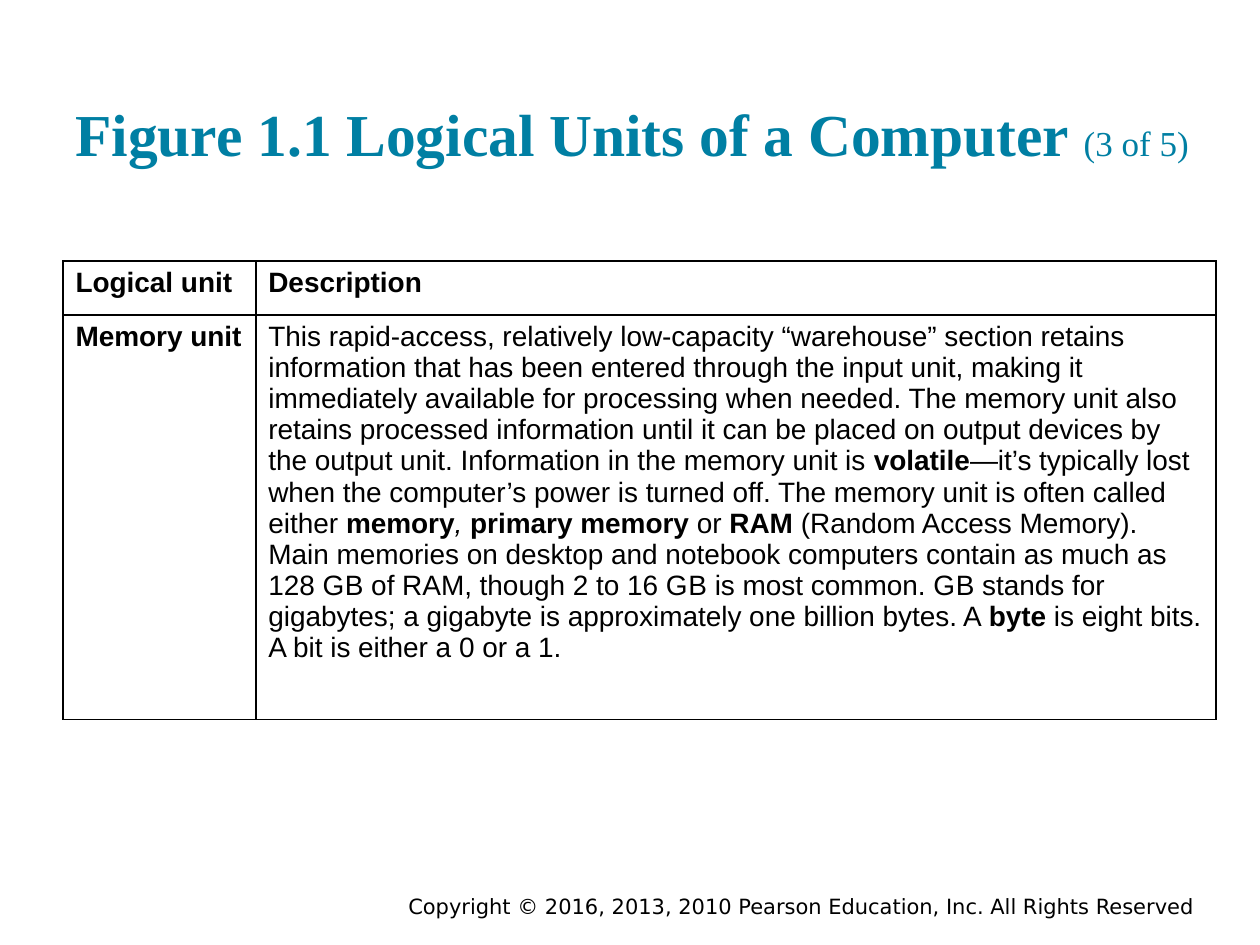
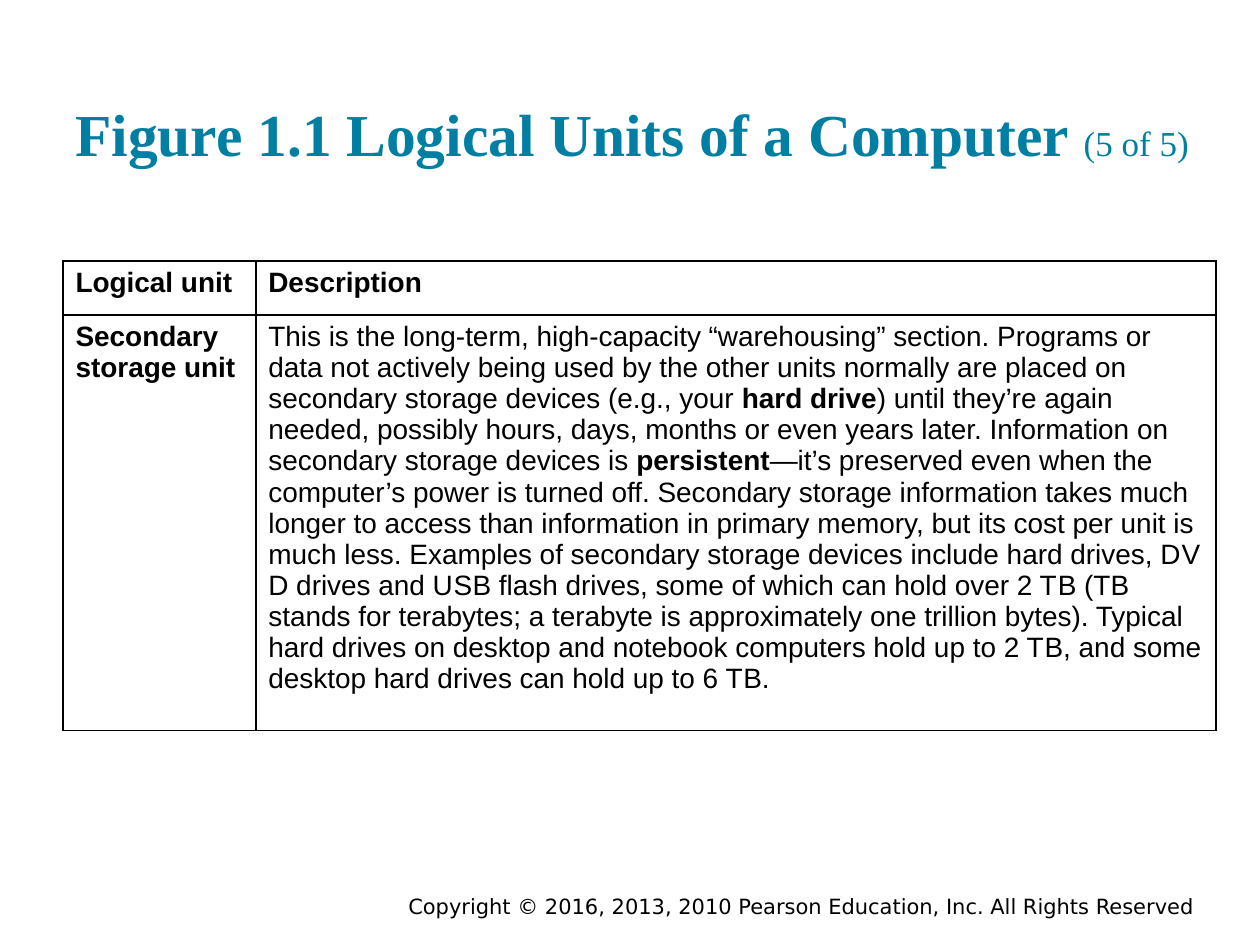
from pptx import Presentation
from pptx.dml.color import RGBColor
from pptx.enum.text import MSO_ANCHOR as Anchor, MSO_AUTO_SIZE as AutoSize, PP_ALIGN as Align
from pptx.oxml import parse_xml
from pptx.oxml.ns import nsdecls
from pptx.util import Inches, Pt

COLORS = {"title": "007FA3", "text": "000000", "border": "000000"}
FONTS = {"title": "Times New Roman", "body": "Arial", "footer": "DejaVu Sans"}
TITLE = "Figure 1.1 Logical Units of a Computer "
FOOTER = "Copyright © 2016, 2013, 2010 Pearson Education, Inc. All Rights Reserved"
HEADINGS = [[["*Logical unit*"]], [["*Description*"]]]

TITLE_BOX = (0.5, 0.24, 9.15, 1.2)
TABLE_BOX = (0.5, 2.07, 9.15, 3.64)
FOOTER_BOX = (2.93, 7.08, 6.65, 0.22)
LABEL_WIDTH = 1.53
HEADING_HEIGHT = 0.43

UNITS = [
    {
        "part": "(3 of 5)",
        "label": [["*Memory unit*"]],
        "description": [
            ["This rapid-access, relatively low-capacity “warehouse” section retains"],
            ["information that has been entered through the input unit, making it"],
            ["immediately available for processing when needed.", "The memory unit also"],
            ["retains processed information until it can be placed on output devices by the output unit.",
             "Information in the memory unit is *volatile*—it’s typically lost"],
            ["when the computer’s power is turned off.", "The memory unit is often called"],
            ["either *memory*_, _*primary memory *or *RAM *(Random Access Memory).",
             "Main memories on desktop and notebook computers contain as much as",
             "128 G~B of RAM, though 2 to 16 G~B is most common.",
             "G~B stands for gigabytes; a gigabyte is approximately one billion bytes.",
             "A *byte *is eight bits.",
             "A bit is either a 0 or a 1."],
        ],
    },
    {
        "part": "(5 of 5)",
        "label": [["*Secondary*"], ["*storage unit*"]],
        "description": [
            ["This is the long-term, high-capacity “warehousing” section.",
             "Programs or data not actively being used by the other units normally are placed on",
             "secondary storage devices (e.g., your *hard drive*) until they’re again needed,",
             "possibly hours, days, months or even years later.",
             "Information on secondary storage devices is *persistent*—it’s preserved",
             "even when the computer’s power is turned off.",
             "Secondary storage information takes much longer to access than information",
             "in primary memory, but its cost per unit is much less.",
             "Examples of secondary storage devices include hard drives, D~V~D drives and",
             "U~S~B flash drives, some of which can hold over 2 T~B",
             "(TB stands for terabytes; a terabyte is approximately one trillion bytes).",
             "Typical hard drives on desktop and notebook computers hold up to 2 T~B,",
             "and some desktop hard drives can hold up to 6 T~B."],
        ],
    },
]


def add_span(para, text, size=16, font="body", color="text", bold=False, italic=False):
    """Add one formatted run of text to a paragraph."""
    span = para.add_run()
    span.text = text
    span.font.size = Pt(size)
    span.font.name = FONTS[font]
    span.font.color.rgb = RGBColor.from_string(COLORS[color])
    span.font.bold = bold
    span.font.italic = italic


def add_marked_text(para, text):
    """Write text where *stars* mean bold, _bars_ italic and ~ a hairline gap."""
    for bold_index, bold_part in enumerate(text.split("*")):
        for italic_index, italic_part in enumerate(bold_part.split("_")):
            for gap_index, piece in enumerate(italic_part.split("~")):
                style = {"bold": bold_index % 2 == 1, "italic": italic_index % 2 == 1}
                if gap_index:
                    add_span(para, " ", size=1, **style)
                if piece:
                    add_span(para, piece, **style)


def add_title(page, box, part):
    """Place the title with its smaller part number."""
    title = page.shapes.title
    title.left, title.top, title.width, title.height = map(Inches, box)
    frame = title.text_frame
    frame.word_wrap = True
    frame.auto_size = AutoSize.NONE
    frame.vertical_anchor = Anchor.BOTTOM
    frame.margin_left = frame.margin_right = Inches(0.1)
    frame.margin_top = frame.margin_bottom = Inches(0.1)
    para = frame.paragraphs[0]
    para.alignment = Align.LEFT
    add_span(para, TITLE, size=34, font="title", color="title", bold=True)
    add_span(para, part, size=20, font="title", color="title")


def add_footer(page, box):
    """Place the right-aligned copyright line."""
    frame = page.shapes.add_textbox(*map(Inches, box)).text_frame
    frame.word_wrap = True
    frame.vertical_anchor = Anchor.MIDDLE
    frame.margin_top = frame.margin_bottom = 0
    para = frame.paragraphs[0]
    para.alignment = Align.RIGHT
    add_span(para, FOOTER, size=12, font="footer")


def fill_cell(cell, paragraphs):
    """Write marked paragraphs in a cell with a thin border and no fill."""
    frame = cell.text_frame
    for index, phrases in enumerate(paragraphs):
        para = frame.add_paragraph() if index else frame.paragraphs[0]
        add_marked_text(para, " ".join(phrases))
    properties = cell._tc.get_or_add_tcPr()
    for side in ("lnL", "lnR", "lnT", "lnB"):
        properties.append(parse_xml(
            f'<a:{side} {nsdecls("a")} w="{Pt(1)}"><a:solidFill>'
            f'<a:srgbClr val="{COLORS["border"]}"/></a:solidFill></a:{side}>'))
    cell.fill.background()


def add_unit_table(page, box, label, description):
    """Place the two-column table that describes one logical unit."""
    table = page.shapes.add_table(2, 2, *map(Inches, box)).table
    table.first_row = table.horz_banding = False
    width, height = box[2:]
    for column, size in zip(table.columns, (LABEL_WIDTH, width - LABEL_WIDTH)):
        column.width = Inches(size)
    for row, size in zip(table.rows, (HEADING_HEIGHT, height - HEADING_HEIGHT)):
        row.height = Inches(size)
    for cell, paragraphs in zip(table.iter_cells(), [*HEADINGS, label, description]):
        fill_cell(cell, paragraphs)


def add_unit_page(deck, part, label, description):
    """Build the slide for one logical unit."""
    page = deck.slides.add_slide(deck.slide_layouts[5])
    add_footer(page, FOOTER_BOX)
    add_title(page, TITLE_BOX, part)
    add_unit_table(page, TABLE_BOX, label, description)


def main():
    """Build and save the deck."""
    deck = Presentation()
    deck.slide_width, deck.slide_height = Inches(10), Inches(7.5)
    for unit in UNITS:
        add_unit_page(deck, **unit)
    deck.save("out.pptx")


if __name__ == "__main__":
    main()
